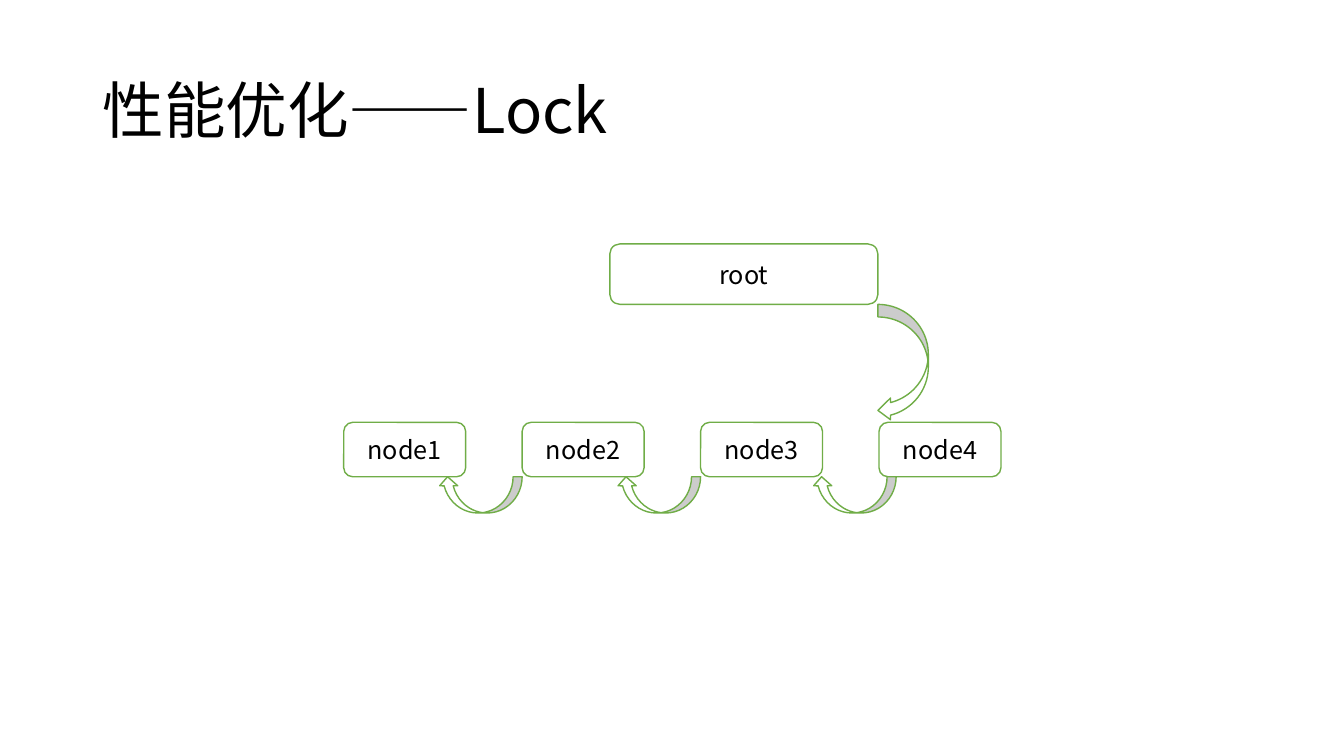
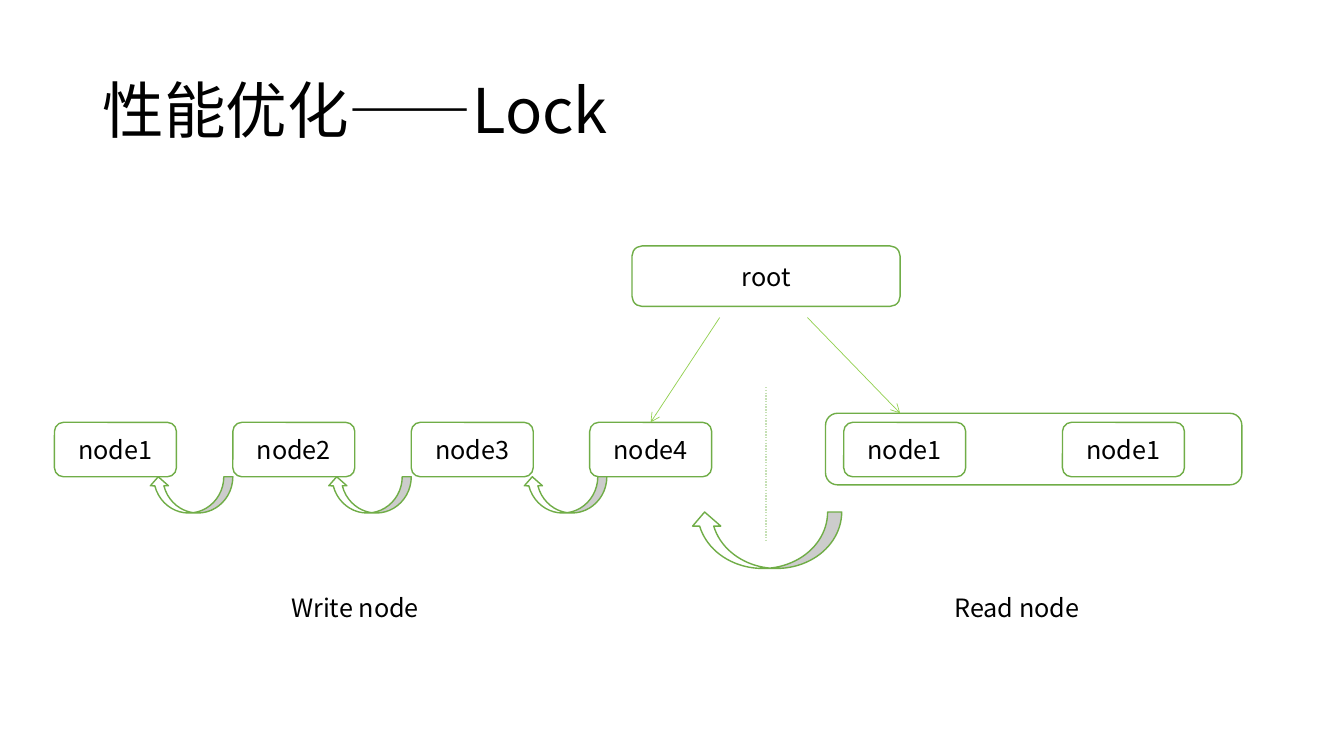
from lxml import etree
from pptx import Presentation
from pptx.dml.color import RGBColor
from pptx.enum.dml import MSO_LINE as DASH
from pptx.enum.shapes import MSO_CONNECTOR as CONN, MSO_SHAPE as SHAPE
from pptx.enum.text import MSO_ANCHOR as ANCHOR, PP_ALIGN as ALIGN
from pptx.oxml.ns import qn
from pptx.util import Inches, Pt

FONT = "Noto Sans CJK SC"
BLACK, WHITE, GREEN = "000000", "FFFFFF", "70AD47"
LIME, PALE = "92D050", "C5E0B4"

# The grid has square cells, 133.3 columns by 75 rows.
CELL = Inches(0.1)
COLS, ROWS = 133.33, 75
NODE_W, NODE_H, PITCH = 12.1, 5.4, 17.7
ROOT_W, ROOT_H = 26.6, 6
HOOK_W, HOOK_H = 8.3, 3.6
CHAIN_Y = 41.9


def cells(*counts):
    return [round(n * CELL) for n in counts]


def rgb(value):
    return RGBColor.from_string(value)


def write(sp, text, size=18, align=ALIGN.LEFT, anchor=ANCHOR.TOP):
    tf = sp.text_frame
    tf.word_wrap = True
    tf.vertical_anchor = anchor
    p = tf.paragraphs[0]
    r = p.add_run()
    r.text = text
    p.alignment = align
    p.font.size = Pt(size)
    p.font.name = r.font.name = FONT
    p.font.color.rgb = rgb(BLACK)
    etree.SubElement(r.font._element, qn("a:ea"), typeface=FONT)
    return p


def label(s, x, y, w, h, text, **style):
    return write(s.shapes.add_textbox(*cells(x, y, w, h)), text, **style)


def outlined(s, kind, x, y, w, h):
    sp = s.shapes.add_shape(kind, *cells(x, y, w, h))
    sp.shadow.inherit = False
    sp.fill.solid()
    sp.fill.fore_color.rgb = rgb(WHITE)
    sp.line.color.rgb = rgb(GREEN)
    sp.line.width = Pt(1)
    return sp


def box(s, x, y, w, h, text=None):
    sp = outlined(s, SHAPE.ROUNDED_RECTANGLE, x, y, w, h)
    if text:
        write(sp, text, align=ALIGN.CENTER, anchor=ANCHOR.MIDDLE)
    return sp


def hook(s, right, top, w=HOOK_W, h=HOOK_H):
    """Curved arrow lying below the nodes and pointing back to the left one."""
    x, y = right - (w + h) / 2, top + (h - w) / 2
    outlined(s, SHAPE.CURVED_LEFT_ARROW, x, y, h, w).rotation = 90


def line(s, start, end, color, width, dash=None, arrow=False):
    c = s.shapes.add_connector(CONN.STRAIGHT, *cells(*start, *end))
    c.line.color.rgb = rgb(color)
    c.line.width = Pt(width)
    if dash:
        c.line.dash_style = dash
    sp_pr = c.element.spPr
    if arrow:
        etree.SubElement(sp_pr.find(qn("a:ln")), qn("a:tailEnd"), type="arrow")
    etree.SubElement(sp_pr, qn("a:effectLst"))
    return c


def chain(s, x, y):
    """Four nodes, each hooked to the one before; returns the last."""
    lefts = [x + i * PITCH for i in range(4)]
    nodes = [box(s, left, y, NODE_W, NODE_H, f"node{i}")
             for i, left in enumerate(lefts, 1)]
    for left, shift in zip(lefts[1:], (0, 0, 1.7)):
        hook(s, left + shift, y + NODE_H)
    return nodes[-1]


def read_nodes(s, x, y):
    box(s, x, y, 41.3, 7.1)
    for offset in (1.8, 23.5):
        box(s, x + offset, y + 0.9, NODE_W, NODE_H, "node1")


def titled_slide(prs, title):
    s = prs.slides.add_slide(prs.slide_layouts[6])
    p = label(s, 9.2, 4, 115, 14.5, title, size=44, anchor=ANCHOR.MIDDLE)
    p.line_spacing = 0.9
    return s


def single_list_slide(prs, title):
    s = titled_slide(prs, title)
    root_x, root_y = 60.5, 24.2
    box(s, root_x, root_y, ROOT_W, ROOT_H, "root")
    chain(s, 34.1, CHAIN_Y)
    swoop = outlined(s, SHAPE.CURVED_LEFT_ARROW,
                     root_x + ROOT_W, root_y + ROOT_H, 5, 11.6)
    swoop.adjustments[1] = 0.43


def split_list_slide(prs, title):
    s = titled_slide(prs, title)
    root_x, root_y = 62.7, 24.4
    middle = root_x + ROOT_W / 2
    box(s, root_x, root_y, ROOT_W, ROOT_H, "root")
    last = chain(s, 5.4, CHAIN_Y)
    line(s, (middle, 38.4), (middle, 53.8), PALE, 1, dash=DASH.ROUND_DOT)
    read_nodes(s, 81.9, 41)
    hook(s, middle + 7.5, 50.8, 15, 5.6)
    for x, text in ((27.9, "Write node"), (93.7, "Read node")):
        label(s, x, 58.3, 17.8, 4, text)
    to_write = line(s, (71.4, 31.5), (64.5, CHAIN_Y), LIME, 0.5, arrow=True)
    to_write.end_connect(last, 0)
    line(s, (80.1, 31.5), (89.3, 41), LIME, 0.5, arrow=True)


def main():
    prs = Presentation()
    prs.slide_width, prs.slide_height = cells(COLS, ROWS)
    title = "性能优化——Lock"
    single_list_slide(prs, title)
    split_list_slide(prs, title)
    prs.save("out.pptx")


if __name__ == "__main__":
    main()
